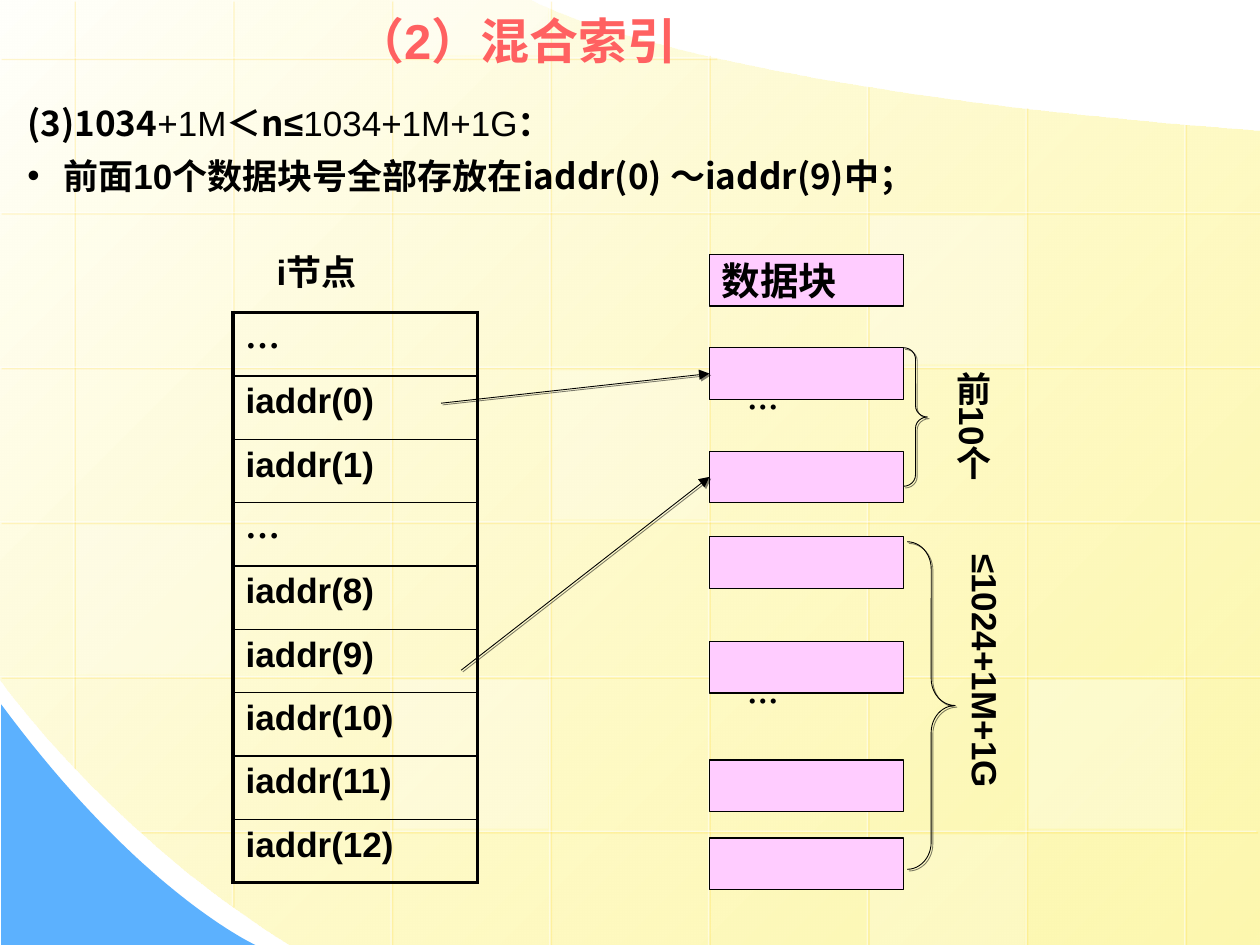
from dataclasses import dataclass
from lxml import etree
from pptx import Presentation
from pptx import util as u
from pptx.dml.color import RGBColor
from pptx.enum import shapes, text
from pptx.oxml import ns


@dataclass(frozen=True)
class Theme:
    ink: str = "000000"
    white: str = "FFFFFF"
    title: str = "FF6161"
    block: str = "FFCCFF"
    blue: str = "5CB1FE"
    pale: str = "FFFFFB"
    warm: str = "FDF58D"
    gold: str = "FFCC00"
    glow: str = "D9A0A0"
    sans: str = "Arial"
    cjk: str = "Noto Sans CJK SC"
    head: int = 28
    label: int = 22
    body: int = 20
    dots: int = 18


def rgb(code):
    return RGBColor.from_string(code)


def sub(node, tag, **attrs):
    return etree.SubElement(node, ns.qn("a:" + tag), {k: str(v) for k, v in attrs.items()})


def fade(node, share):
    for color in node.iter(ns.qn("a:srgbClr")):
        sub(color, "alpha", val=round(share * 1000))


def shade(effect, color, share):
    drop = sub(effect, "outerShdw", blurRad=0, dist=u.Pt(1.4), dir=2700000, algn="ctr", rotWithShape=0)
    sub(drop, "srgbClr", val=color)
    fade(drop, share)


def write(para, words, size=20, font="Arial", color="000000", bold=True, glow=None):
    run = para.add_run()
    run.text = words
    face = run.font
    face.size, face.bold = u.Pt(size), bold
    face.color.rgb = rgb(color)
    props = run._r.get_or_add_rPr()
    props.set("lang", "zh-CN")
    if glow:
        shade(sub(props, "effectLst"), glow, 100)
    face.name = font
    sub(props, "ea", typeface=Theme.cjk)


def curve(a, b, c, d, steps=40):
    for n in range(1, steps + 1):
        t = n / steps
        s = 1 - t
        yield tuple(s**3 * p + 3 * s * s * t * q + 3 * s * t * t * r + t**3 * v
                    for p, q, r, v in zip(a, b, c, d))


class Deck:
    def __init__(self, look):
        self.look = look
        self.file = Presentation()
        self.file.slide_width, self.file.slide_height = u.Pt(720), u.Pt(540)
        self.slide = self.file.slides.add_slide(self.file.slide_layouts[6])
        self.pool = self.slide.shapes

    def outline(self, points):
        first, *rest = [(u.Pt(x), u.Pt(y)) for x, y in points]
        pen = self.pool.build_freeform(*first, scale=1)
        pen.add_line_segments(rest, close=True)
        shape = pen.convert_to_shape()
        shape.line.fill.background()
        shape.shadow.inherit = False
        return shape

    def shape(self, kind, box, fill=None, line=None, width=0.75, alpha=None, shadow=None):
        shape = self.pool.add_shape(kind, *map(u.Pt, box))
        shape.shadow.inherit = False
        if fill:
            shape.fill.solid()
            shape.fill.fore_color.rgb = rgb(fill)
        else:
            shape.fill.background()
        if line:
            shape.line.color.rgb = rgb(line)
            shape.line.width = u.Pt(width)
        else:
            shape.line.fill.background()
        props = shape._element.spPr
        if alpha:
            fade(props.find(ns.qn("a:solidFill")), alpha)
        if shadow:
            shade(props.find(ns.qn("a:effectLst")), *shadow)
        return shape

    def brace(self, box, bend):
        shape = self.shape(shapes.MSO_SHAPE.RIGHT_BRACE, box, line=self.look.ink,
                           width=0.5, shadow=(self.look.ink, 50))
        shape.adjustments[0] = bend

    def line(self, start, end, color, width, shadow, alpha=None, goal=None):
        link = self.pool.add_connector(shapes.MSO_CONNECTOR.STRAIGHT, *map(u.Pt, (*start, *end)))
        link.line.color.rgb = rgb(color)
        link.line.width = u.Pt(width)
        props = link._element.spPr
        if alpha:
            fade(props, alpha)
        if goal:
            link.end_connect(goal, 1)
            sub(link.line._ln, "tailEnd", type="triangle")
        shade(sub(props, "effectLst"), *shadow)

    def text(self, box, *paras, anchor="TOP", turn=False, wrap=True):
        frame = self.pool.add_textbox(*map(u.Pt, box)).text_frame
        frame.word_wrap = wrap
        frame.vertical_anchor = text.MSO_ANCHOR[anchor]
        if turn:
            frame._txBody.bodyPr.set("vert", "eaVert")
        for n, runs in enumerate(paras):
            para = frame.add_paragraph() if n else frame.paragraphs[0]
            if n:
                para.space_before = u.Pt(6)
                props = para._p.get_or_add_pPr()
                props.set("marL", str(u.Pt(16)))
                props.set("indent", str(u.Pt(-16)))
                sub(sub(props, "buClr"), "srgbClr", val=self.look.ink)
                sub(props, "buFont", typeface=self.look.sans)
                sub(props, "buChar", char="•")
            for words, style in runs:
                write(para, words, **style)

    def table(self, box, rows):
        table = self.pool.add_table(len(rows), 1, *map(u.Pt, box)).table
        table.first_row = table.horz_banding = False
        for n, words in enumerate(rows):
            cell = table.cell(n, 0)
            cell.margin_bottom = 0
            font = self.look.cjk if words == "…" else self.look.sans
            write(cell.text_frame.paragraphs[0], words, font=font)
            props = cell._tc.get_or_add_tcPr()
            top = 2.25 if n == 0 else 1
            base = 2.25 if n == len(rows) - 1 else 1
            for side, width in zip("LRTB", (2.25, 2.25, top, base)):
                edge = sub(props, "ln" + side, w=u.Pt(width))
                sub(sub(edge, "solidFill"), "srgbClr", val=self.look.ink)
            cell.fill.background()


def backdrop(deck):
    look = deck.look
    field = deck.outline([(0, 0), (303, 0), *curve((303, 0), (303, 0), (387, 50), (720, 75)),
                          (720, 540), (165.6, 540),
                          *curve((165.6, 540), (62, 476), (0, 388), (0, 388))])
    field.fill.gradient()
    field.fill.gradient_angle = 315
    for stop, color in zip(field.fill.gradient_stops, (look.pale, look.warm)):
        stop.color.rgb = rgb(color)
    fade(field._element.spPr.find(".//" + ns.qn("a:gs") + "[2]"), 70)
    corner = deck.outline([(0.7, 402.5), (0.7, 540), (146, 540),
                           *curve((146, 540), (146, 540), (80.6, 510.5), (0.7, 402.5))])
    corner.fill.solid()
    corner.fill.fore_color.rgb = rgb(look.blue)

    left, top, wide, high = 42, 33, 90.72, 88.4
    grid = dict(color=look.white, width=0.75, shadow=(look.gold, 34), alpha=50)
    tops, ends = (0, 0, 0, 0, 31, 49, 61, 70.5), (438.5, 517.5) + (540,) * 6
    for n, (start, end) in enumerate(zip(tops, ends)):
        x = left + n * wide
        deck.line((x, start), (x, end), **grid)
    for n, (start, end) in enumerate(zip((409, 720, 720, 720, 720, 718), (0, 0, 0, 0, 0, 80))):
        y = top + n * high
        deck.line((start, y), (end, y), **grid)
    tiles = ((3, 2, 25), (6, 4, 30), (0, 3, 20), (5, 5, 20), (2, -1, 40), (2, 4, 30), (5, 1, 30))
    for col, row, alpha in tiles:
        y = max(0, top + row * high + 2)
        base = min(540, top + (row + 1) * high - 1.5)
        deck.shape(shapes.MSO_SHAPE.RECTANGLE, (left + col * wide + 1.5, y, 88.5, base - y),
                   look.white, alpha=alpha)


def main():
    look = Theme()
    deck = Deck(look)
    backdrop(deck)
    deck.text((196, 0, 374, 46), [("（2）混合索引", dict(size=look.head, color=look.title))],
              anchor="MIDDLE")
    bold = dict(size=look.body, glow=look.glow)
    thin, cjk = dict(bold, bold=False), dict(bold, font=look.cjk)
    deck.text((8.6, 54.7, 680, 79),
              [("(3)1034", cjk), ("+1M", thin), ("＜", bold), ("n", cjk), ("≤", bold),
               ("1034+1M+1G", thin), ("：", bold)],
              [(" 前面10个数据块号全部存放在", bold), ("iaddr(0) ～iaddr(9)中；", cjk)])
    deck.text((151, 139.7, 112, 36.7), [("i节点", bold)])

    names = [f"iaddr({n})" for n in (0, 1, 8, 9, 10, 11, 12)]
    deck.table((133.2, 178.6, 139.7, 325.8), ["…", *names[:2], "…", *names[2:]])

    blocks = [deck.shape(shapes.MSO_SHAPE.RECTANGLE, (405.4, y, 110.9, 29.5), look.block, look.ink)
              for y in (145.4, 198.7, 257.8, 306.7, 366.5, 434.2, 478.8)]
    frame = blocks[0].text_frame
    frame.margin_top = frame.margin_bottom = 0
    frame.paragraphs[0].alignment = text.PP_ALIGN.LEFT
    write(frame.paragraphs[0], "数据块", size=look.label)

    for start, goal in (((252, 230.4), blocks[1]), ((263.5, 383), blocks[2])):
        deck.line(start, (405.4, 213.5), look.ink, 0.5, (look.ink, 50), goal=goal)
    for y in (218.2, 386):
        deck.text((419.8, y, 97, 29), [("…", dict(size=look.dots, font=look.cjk))])
    deck.brace((516.3, 198.7, 13.7, 79.2), 0.474)
    deck.brace((518.4, 309.6, 27.4, 187.2), 0.564)
    deck.text((528.5, 205.2, 43.2, 98.6), [("前10个", bold)], turn=True)
    deck.text((535.7, 309.6, 43.2, 193), [("≤1024+1M+1G", bold)], turn=True)
    deck.file.save("out.pptx")


if __name__ == "__main__":
    main()
